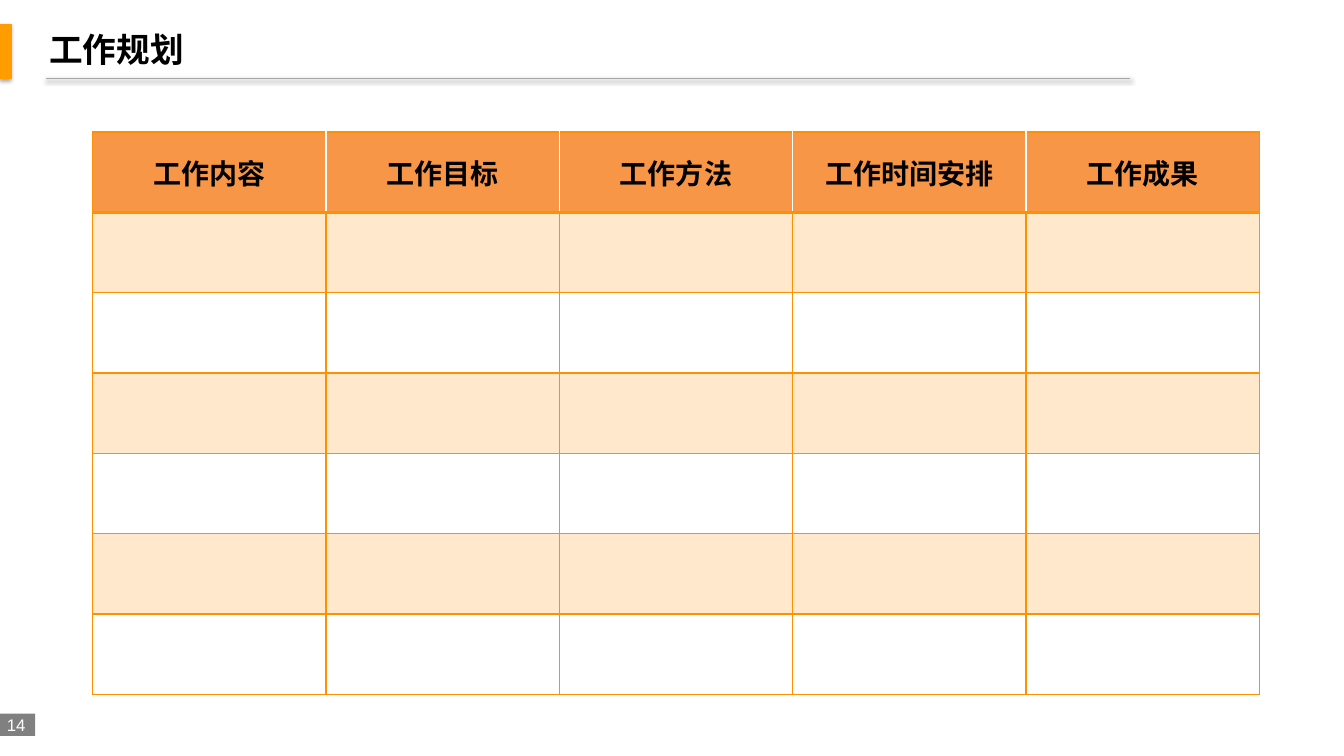
from dataclasses import dataclass

from lxml.etree import SubElement
from pptx import Presentation
from pptx.dml.color import RGBColor
from pptx.enum.shapes import MSO_CONNECTOR, MSO_SHAPE
from pptx.enum.text import MSO_ANCHOR, PP_ALIGN
from pptx.oxml import parse_xml
from pptx.oxml.ns import nsdecls, qn
from pptx.util import Pt

EMU_PER_PX = 9144  # 100 px to the inch
ORANGE = "FF9000"
BLACK = "000000"
WHITE = "FFFFFF"
CJK_FONT = "Noto Sans CJK SC"
HEADERS = ["工作内容", "工作目标", "工作方法", "工作时间安排", "工作成果"]
BODY_ROWS = 6


@dataclass(frozen=True)
class TextStyle:
    size: int
    color: str
    font: str = "Arial"
    bold: bool = False
    align: PP_ALIGN = PP_ALIGN.CENTER


@dataclass(frozen=True)
class Border:
    side: str
    color: str = ORANGE
    width: int = 1


TITLE_STYLE = TextStyle(24, BLACK, bold=True, align=PP_ALIGN.LEFT)
HEADER_STYLE = TextStyle(20, BLACK, font=CJK_FONT, bold=True)
NUMBER_STYLE = TextStyle(12, WHITE)


def px(length: int) -> int:
    return length * EMU_PER_PX


def rgb(color: str) -> RGBColor:
    return RGBColor.from_string(color)


def write_text(text_frame, text: str, style: TextStyle) -> None:
    text_frame.text = text
    paragraph = text_frame.paragraphs[0]
    paragraph.alignment = style.align
    run = paragraph.runs[0]
    run.font.size = Pt(style.size)
    run.font.bold = style.bold
    run.font.name = style.font
    run.font.color.rgb = rgb(style.color)
    SubElement(run.font._element, qn("a:ea")).set("typeface", CJK_FONT)


def add_rectangle(slide, left: int, top: int, width: int, height: int, color: str):
    shape = slide.shapes.add_shape(
        MSO_SHAPE.RECTANGLE, px(left), px(top), px(width), px(height)
    )
    shape.fill.solid()
    shape.fill.fore_color.rgb = rgb(color)
    shape.line.fill.background()
    shape.shadow.inherit = False
    return shape


def add_shadow(shape, opacity: int, distance: float) -> None:
    """Give the shape a soft black shadow that falls straight down."""
    properties = shape._element.spPr
    for effects in properties.findall(qn("a:effectLst")):
        properties.remove(effects)
    properties.append(parse_xml(
        f'<a:effectLst {nsdecls("a")}>'
        f'<a:outerShdw blurRad="{Pt(3.1)}" dist="{Pt(distance)}" dir="5400000" '
        f'algn="t" rotWithShape="0"><a:srgbClr val="{BLACK}">'
        f'<a:alpha val="{opacity * 1000}"/></a:srgbClr></a:outerShdw></a:effectLst>'
    ))


def set_borders(cell, borders: list[Border]) -> None:
    properties = cell._tc.get_or_add_tcPr()
    for position, border in enumerate(borders):
        properties.insert(position, parse_xml(
            f'<a:ln{border.side} {nsdecls("a")} w="{Pt(border.width)}"><a:solidFill>'
            f'<a:srgbClr val="{border.color}"/></a:solidFill></a:ln{border.side}>'
        ))


def fill_cell(cell, color: str, opacity: int = 100) -> None:
    cell.fill.solid()
    cell.fill.fore_color.rgb = rgb(color)
    if opacity < 100:
        color_element = cell._tc.tcPr.find(f'{qn("a:solidFill")}/{qn("a:srgbClr")}')
        SubElement(color_element, qn("a:alpha")).set("val", str(opacity * 1000))


def add_heading(slide) -> None:
    accent = add_rectangle(slide, 0, 24, 11, 54, "FF9D00")
    accent.line.color.rgb = rgb("FF9D00")
    accent.line.width = Pt(0.75)
    add_shadow(accent, opacity=35, distance=1.8)

    rule = slide.shapes.add_connector(
        MSO_CONNECTOR.STRAIGHT, px(46), px(78), px(1121), px(78)
    )
    rule.line.color.rgb = rgb("A6A6A6")
    rule.line.width = Pt(0.75)
    add_shadow(rule, opacity=38, distance=1.6)

    title = slide.shapes.add_textbox(px(39), px(24), px(1150), px(50))
    title.text_frame.word_wrap = True
    title.text_frame.vertical_anchor = MSO_ANCHOR.MIDDLE
    write_text(title.text_frame, "工作规划", TITLE_STYLE)


def add_page_number(slide, number: int) -> None:
    text_frame = add_rectangle(slide, 0, 708, 35, 22, "808080").text_frame
    text_frame.margin_left = text_frame.margin_top = 0
    text_frame.margin_right = px(3)
    text_frame.margin_bottom = 0
    text_frame.word_wrap = False
    text_frame.vertical_anchor = MSO_ANCHOR.MIDDLE
    write_text(text_frame, str(number), NUMBER_STYLE)


def add_plan_table(slide) -> None:
    table = slide.shapes.add_table(
        BODY_ROWS + 1, len(HEADERS), px(92), px(131), px(1157), px(558)
    ).table
    table.first_row = False
    table.horz_banding = False
    last_column = len(HEADERS) - 1

    for column, header in enumerate(HEADERS):
        cell = table.cell(0, column)
        write_text(cell.text_frame, header, HEADER_STYLE)
        cell.vertical_anchor = MSO_ANCHOR.MIDDLE
        fill_cell(cell, "F79646")
        set_borders(cell, [
            Border("L", ORANGE if column == 0 else WHITE),
            Border("R", ORANGE if column == last_column else WHITE),
            Border("T"),
            Border("B", width=2),
        ])
        for row in range(1, BODY_ROWS + 1):
            cell = table.cell(row, column)
            if row % 2:
                fill_cell(cell, ORANGE, opacity=20)
            else:
                cell.fill.background()
            top = Border("T", width=2 if row == 1 else 1)
            set_borders(cell, [Border("L"), Border("R"), top, Border("B")])


def main() -> None:
    presentation = Presentation()
    presentation.slide_width = px(1333)
    presentation.slide_height = px(750)
    slide = presentation.slides.add_slide(presentation.slide_layouts[6])
    add_page_number(slide, 14)
    add_heading(slide)
    add_plan_table(slide)
    presentation.save("out.pptx")


if __name__ == "__main__":
    main()
